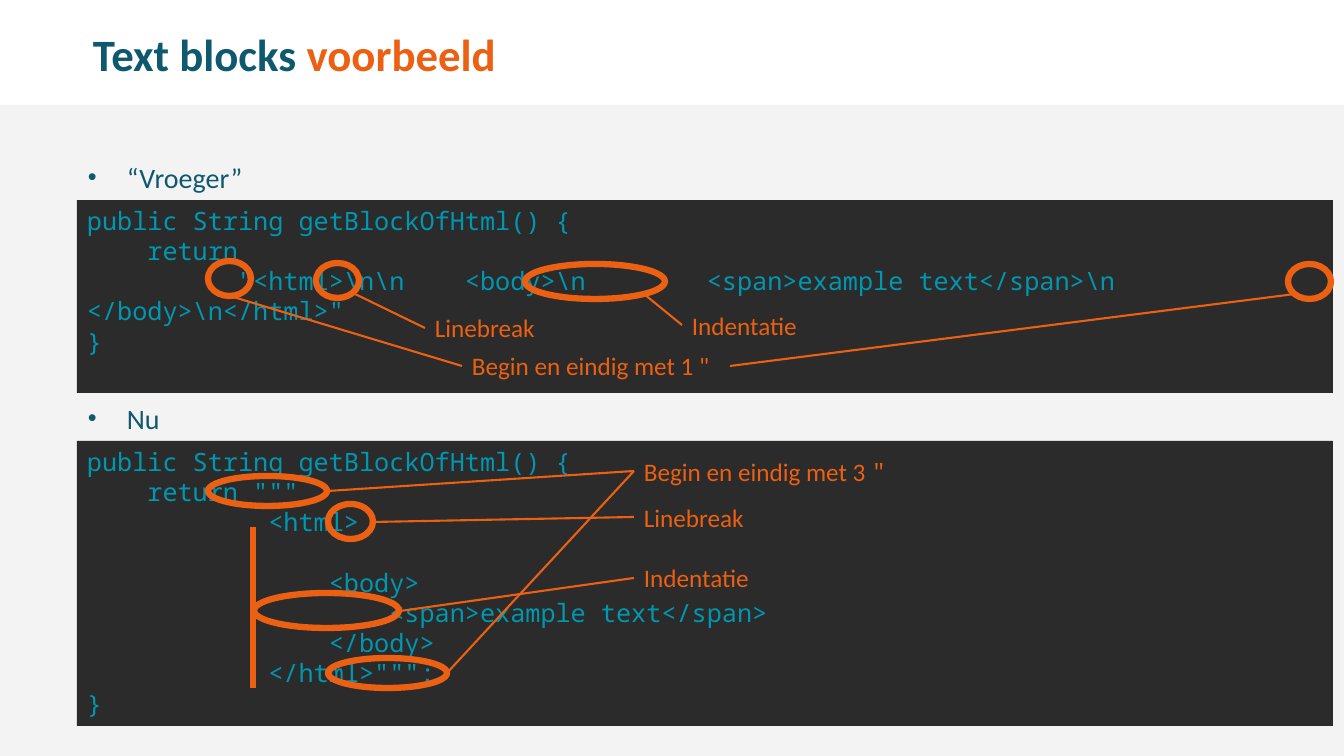
from lxml.etree import SubElement
from pptx import Presentation
from pptx.dml.color import RGBColor
from pptx.enum.shapes import MSO_CONNECTOR, MSO_SHAPE
from pptx.enum.text import MSO_ANCHOR, PP_ALIGN
from pptx.oxml.ns import qn
from pptx.util import Emu, Pt

PX = 914400 / 100.8
TEAL, ORANGE, CODE_BLUE = "0F596E", "EB6012", "0097B1"
DARK, PALE = "2B2B2B", "F3F3F3"
SANS, MONO = "Calibri", "Noto Sans Mono"


def color(hex_code):
    return RGBColor.from_string(hex_code)


def add_block(box, fill, lines=(), font=SANS, text_color=ORANGE):
    """Add a filled rectangle with one left-aligned 18 pt paragraph per line."""
    block = slide.shapes.add_shape(MSO_SHAPE.RECTANGLE, *[Emu(round(v * PX)) for v in box])
    block.shadow.inherit = False
    block.fill.solid()
    block.fill.fore_color.rgb = color(fill)
    block.line.fill.background()
    frame = block.text_frame
    frame.vertical_anchor = MSO_ANCHOR.TOP
    frame.word_wrap = True
    frame.text = "\n".join(lines)
    for paragraph in frame.paragraphs:
        paragraph.alignment = PP_ALIGN.LEFT
        for run in paragraph.runs:
            run.font.name = font
            run.font.size = Pt(18)
            run.font.color.rgb = color(text_color)
    return block


presentation = Presentation()
presentation.slide_width = Emu(round(1344 * PX))
presentation.slide_height = Emu(round(756 * PX))
slide = presentation.slides.add_slide(presentation.slide_layouts[6])

add_block((0, 105, 1344, 651), PALE)

title = slide.shapes.add_textbox(*[Emu(round(v * PX)) for v in (93, 0, 1159, 113)]).text_frame
title.word_wrap = True
title.vertical_anchor = MSO_ANCHOR.MIDDLE
title.margin_left = title.margin_right = title.margin_top = title.margin_bottom = 0
title.paragraphs[0].line_spacing = 0.9
for words, tint in (("Text blocks ", TEAL), ("voorbeeld", ORANGE)):
    run = title.paragraphs[0].add_run()
    run.text = words
    run.font.name = SANS
    run.font.size = Pt(32)
    run.font.bold = True
    run.font.color.rgb = color(tint)

# Each example: heading, code, labels, circled spots, lines (x1, y1, x2, y2, width)
examples = [
    {
        "heading": ("“Vroeger”", 144),
        "box": (77, 200, 1256, 193),
        "code": [
            "public String getBlockOfHtml() {",
            "    return",
            '          "<html>\\n\\n    <body>\\n        <span>example text</span>\\n    </body>\\n</html>"',
            "}",
        ],
        "labels": [
            ("Indentatie", 682, 305, 132),
            ("Linebreak", 425, 307, 132),
            ('Begin en eindig met 1 "', 462, 345, 268),
        ],
        "circles": [(525, 264, 140, 35), (316, 263, 43, 35), (208, 261, 43, 35), (1288, 264, 43, 35)],
        "lines": [
            (425, 328, 353, 293, 1.5),
            (682, 325, 644, 294, 1.5),
            (462, 366, 230, 296, 1.5),
            (730, 366, 1295, 294, 1.5),
        ],
    },
    {
        "heading": ("Nu", 385),
        "box": (77, 441, 1256, 285),
        "code": [
            "public String getBlockOfHtml() {",
            '    return """',
            "            <html>",
            "",
            "                <body>",
            "                    <span>example text</span>",
            "                </body>",
            '            </html>""";',
            "}",
        ],
        "labels": [
            ('Begin en eindig met 3 "', 634, 451, 279),
            ("Linebreak", 634, 497, 412),
            ("Indentatie", 634, 557, 412),
        ],
        "circles": [(208, 476, 119, 30), (328, 658, 119, 30), (328, 504, 45, 35), (254, 593, 145, 35)],
        "lines": [
            (253, 688, 253, 527, 4.5),
            (328, 491, 634, 471, 1.5),
            (447, 673, 634, 471, 1.5),
            (634, 517, 373, 522, 1.5),
            (634, 578, 400, 611, 1.5),
        ],
    },
]

for example in examples:
    words, top = example["heading"]
    frame = slide.shapes.add_textbox(*[Emu(round(v * PX)) for v in (77, top, 1137, 55)]).text_frame
    frame.word_wrap = True
    frame.text = words
    heading = frame.paragraphs[0]
    heading.line_spacing = Pt(32)
    properties = heading._p.get_or_add_pPr()
    properties.set("marL", str(round(40 * PX)))
    properties.set("indent", str(round(-39 * PX)))
    SubElement(properties, qn("a:buSzPct"), val="90000")
    SubElement(properties, qn("a:buFont"), typeface="Arial")
    SubElement(properties, qn("a:buChar"), char="•")
    heading.runs[0].font.name = SANS
    heading.runs[0].font.size = Pt(20)
    heading.runs[0].font.color.rgb = color(TEAL)

    add_block(example["box"], DARK, example["code"], MONO, CODE_BLUE)

    for words, left, top, width in example["labels"]:
        label = add_block((left, top, width, 40), DARK, [words])
        if "3" in words:
            paragraph = label.text_frame.paragraphs[0]
            paragraph.runs[0].text = words[:-1]
            quote = paragraph.add_run()
            quote.text = words[-1]
            quote.font.name = MONO
            quote.font.size = Pt(18)
            quote.font.color.rgb = color(ORANGE)

    for circle in example["circles"]:
        ring = slide.shapes.add_shape(MSO_SHAPE.OVAL, *[Emu(round(v * PX)) for v in circle])
        ring.shadow.inherit = False
        ring.fill.background()
        ring.line.color.rgb = color(ORANGE)
        ring.line.width = Pt(4.5)

    for *ends, weight in example["lines"]:
        pointer = slide.shapes.add_connector(MSO_CONNECTOR.STRAIGHT, *[Emu(round(v * PX)) for v in ends])
        pointer.line.color.rgb = color(ORANGE)
        pointer.line.width = Pt(weight)
        SubElement(pointer._element.spPr, qn("a:effectLst"))

presentation.save("out.pptx")
